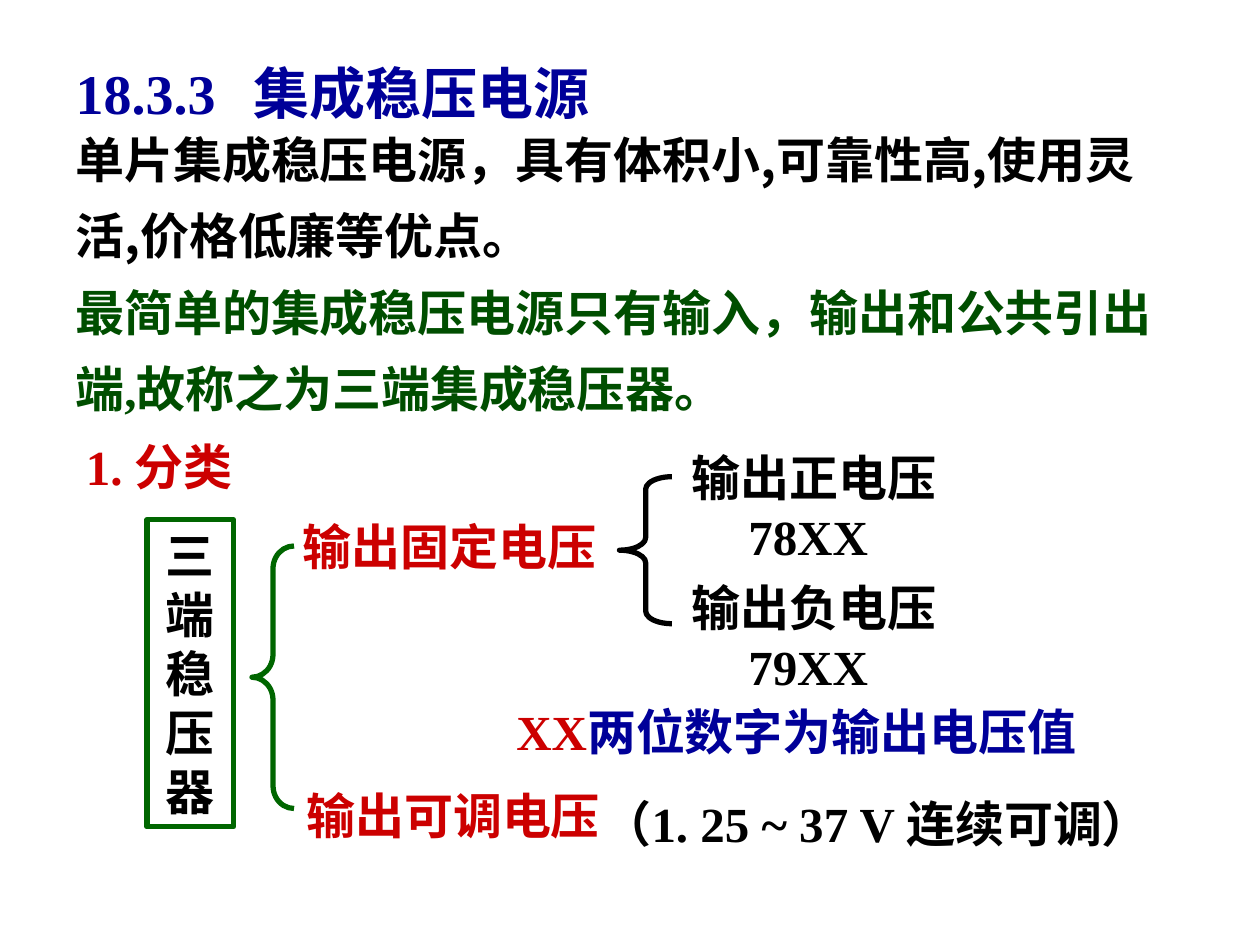
from pptx import Presentation
from pptx import util as u
from pptx.dml.color import RGBColor
from pptx.enum import shapes, text
from pptx.oxml import parse_xml
from pptx.oxml.ns import nsdecls, qn

NAVY = RGBColor(0x00, 0x00, 0x99)
RED = RGBColor(0xCC, 0x00, 0x00)
DARK_GREEN = RGBColor(0x00, 0x4E, 0x00)
GREEN = RGBColor(0x00, 0x66, 0x00)
BLACK = RGBColor(0x00, 0x00, 0x00)

LATIN, CJK = "Times New Roman", "Noto Sans CJK SC"
LEFT, CENTER = text.PP_ALIGN.LEFT, text.PP_ALIGN.CENTER

# Slide grid: 120 columns by 90 rows
WIDTH, HEIGHT = u.Inches(10), u.Inches(7.5)
CELL = WIDTH / 120
LINE_ROWS = 6.8  # height of a one-line label


def cells(box):
    return [round(value * CELL) for value in box]


def within(region, left, top, width, height):
    """Move a box given relative to a region onto the slide grid."""
    return region[0] + left, region[1] + top, width, height


def write(frame, lines, size=28, align=LEFT, spacing=None):
    """Fill a frame; each line is a list of (wording, colour, font) runs."""
    for number, line in enumerate(lines):
        paragraph = frame.paragraphs[0] if number == 0 else frame.add_paragraph()
        paragraph.alignment = align
        if spacing:
            paragraph.line_spacing = spacing
        for wording, colour, face in line:
            run = paragraph.add_run()
            run.text = wording
            run.font.size, run.font.bold = u.Pt(size), True
            run.font.name, run.font.color.rgb = face, colour
            run.font._element.find(qn("a:latin")).addnext(
                parse_xml(f'<a:ea {nsdecls("a")} typeface="{CJK}"/>'))


def add_label(slide, box, lines, wrap=True, **style):
    frame = slide.shapes.add_textbox(*cells(box)).text_frame
    frame.word_wrap = wrap
    write(frame, lines, **style)
    return frame


def add_outline(slide, kind, box, colour):
    outline = slide.shapes.add_shape(kind, *cells(box))
    outline.shadow.inherit = False
    outline.fill.background()
    outline.line.color.rgb = colour
    outline.line.width = u.Pt(3)
    return outline


def add_brace(slide, box, colour, curve):
    brace = add_outline(slide, shapes.MSO_SHAPE.LEFT_BRACE, box, colour)
    brace.adjustments[0] = curve


def add_title(slide, box):
    title = slide.shapes.title
    title.left, title.top, title.width, title.height = cells(box)
    frame = title.text_frame
    frame.word_wrap = True
    frame.auto_size = text.MSO_AUTO_SIZE.NONE
    frame.vertical_anchor = text.MSO_ANCHOR.TOP
    write(frame, [[("18.3.3\t", NAVY, LATIN), ("集成稳压电源", NAVY, CJK)]], size=32)
    # Tab stop between the section number and its name
    frame.paragraphs[0]._p.get_or_add_pPr().append(parse_xml(
        f'<a:tabLst {nsdecls("a")}><a:tab pos="{u.Inches(1.41)}" algn="l"/></a:tabLst>'))


def add_introduction(slide, box):
    frame = add_label(slide, box, [
        [("单片集成稳压电源，具有体积小,可靠性高,使用灵活,价格低廉等优点。", BLACK, CJK)],
        [("最简单的集成稳压电源只有输入，输出和公共引出端,故称之为三端集成稳压器。",
          DARK_GREEN, LATIN)],
    ], spacing=1.3)
    frame.vertical_anchor = text.MSO_ANCHOR.MIDDLE


def add_classification(slide, region):
    # Section heading
    add_label(slide, within(region, 0, 0, 22, 7),
              [[("1. ", RED, LATIN), ("分类", RED, CJK)]])

    # Root of the tree, one character a line
    root = add_outline(slide, shapes.MSO_SHAPE.RECTANGLE,
                       within(region, 7, 8.5, 8.25, 29.25), GREEN)
    root.text_frame.word_wrap = True
    root.text_frame.vertical_anchor = text.MSO_ANCHOR.TOP
    write(root.text_frame, [[("三端稳压器", BLACK, LATIN)]], align=CENTER)

    # Two main branches
    add_brace(slide, within(region, 17, 11, 4, 25), GREEN, 0.54)
    add_label(slide, within(region, 20.6, 7.6, 30.4, LINE_ROWS),
              [[("输出固定电压", RED, LATIN)]], wrap=False, align=CENTER)
    add_label(slide, within(region, 21, 33.2, 31, LINE_ROWS),
              [[("输出可调电压", RED, LATIN)]])

    # Fixed-voltage families
    add_brace(slide, within(region, 52, 4.4, 5, 14), BLACK, 0.24)
    for row, (polarity, series) in enumerate([("输出正电压", "78XX "),
                                              ("输出负电压", "79XX ")]):
        add_label(slide, within(region, 57.7, 1 + row * 12.4, 25.7, 12.4),
                  [[(polarity, BLACK, LATIN)], [(series, BLACK, LATIN)]],
                  wrap=False, align=CENTER)

    # Meaning of the digits, and the adjustable range
    add_label(slide, within(region, 41, 25.2, 64, LINE_ROWS),
              [[("XX", RED, LATIN), ("两位数字为输出电压值", NAVY, CJK)]])
    add_label(slide, within(region, 48, 34, 57, LINE_ROWS),
              [[("（1. 25 ~ 37 V 连续可调）", BLACK, LATIN)]],
              wrap=False, align=CENTER)


def main():
    presentation = Presentation()
    presentation.slide_width, presentation.slide_height = WIDTH, HEIGHT
    slide = presentation.slides.add_slide(presentation.slide_layouts[5])
    add_title(slide, (6, 5, 56, 6))
    add_introduction(slide, (6, 10, 106.3, 30.4))
    add_classification(slide, (7, 41, 105, 41))
    presentation.save("out.pptx")


if __name__ == "__main__":
    main()
